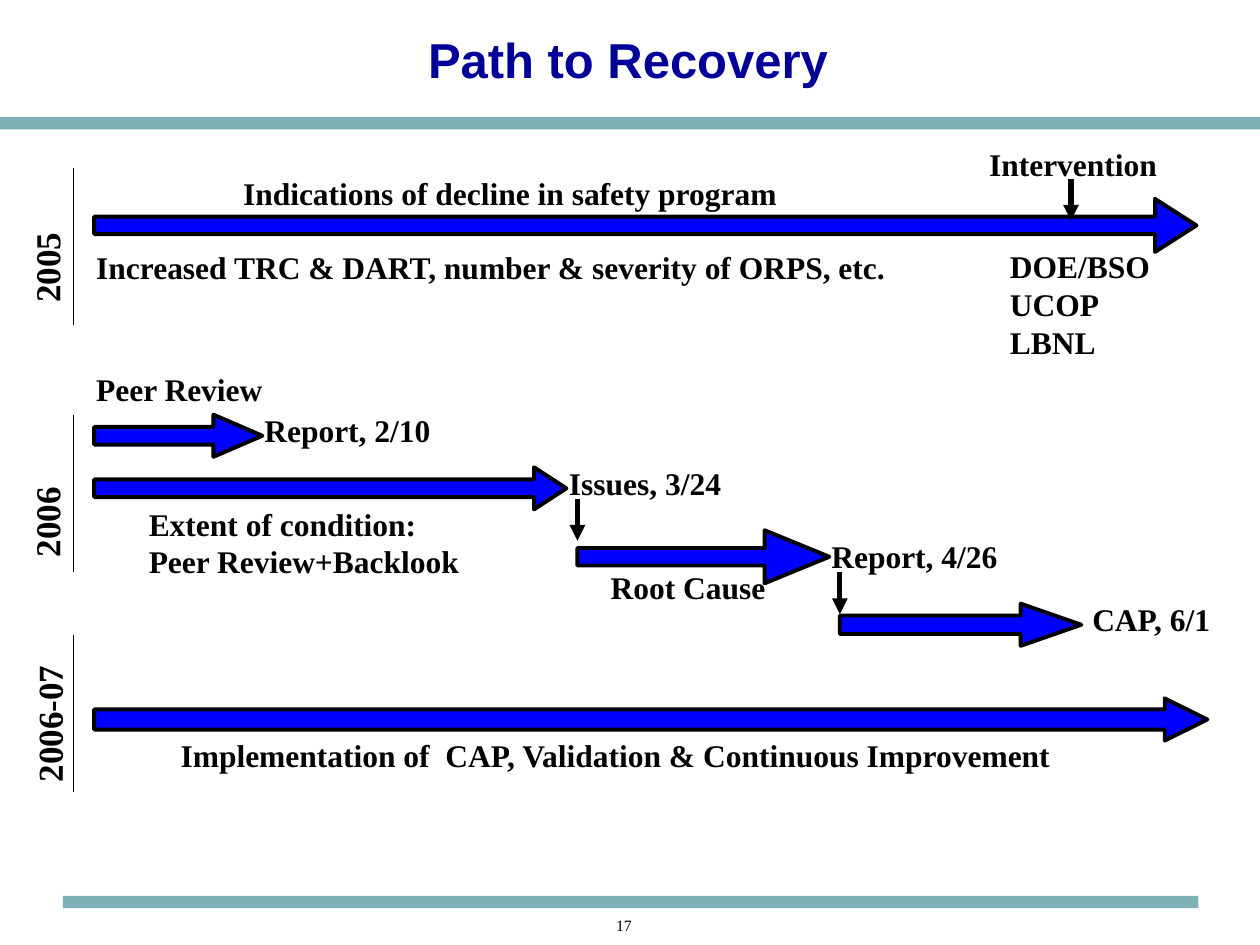
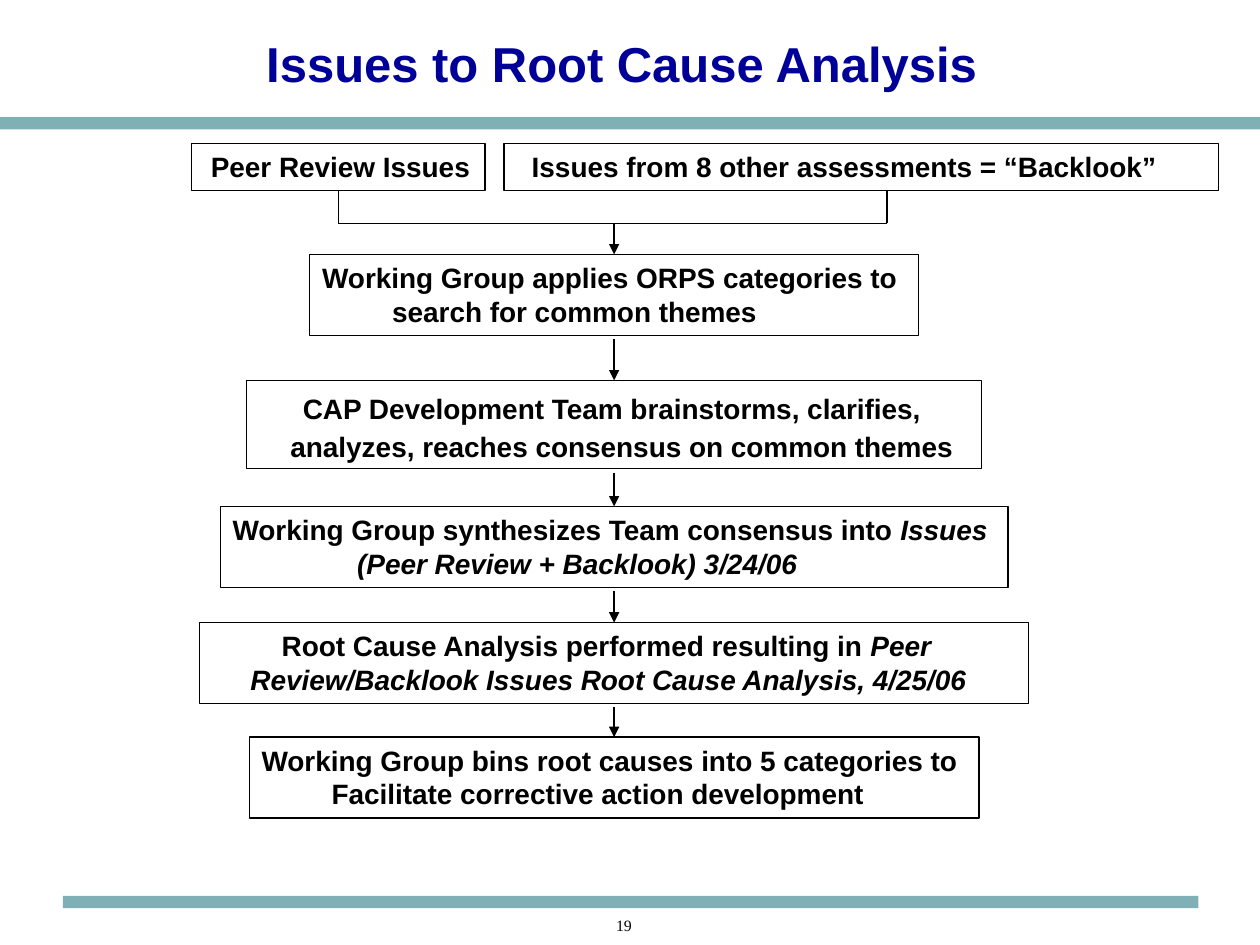
from lxml import etree
from pptx import Presentation
from pptx.dml.color import RGBColor
from pptx.enum.shapes import MSO_CONNECTOR, MSO_SHAPE
from pptx.enum.text import MSO_ANCHOR, PP_ALIGN
from pptx.oxml.ns import qn
from pptx.util import Cm, Pt

STRAIGHT = MSO_CONNECTOR.STRAIGHT
RECTANGLE, RIGHT_ARROW = MSO_SHAPE.RECTANGLE, MSO_SHAPE.RIGHT_ARROW
CENTER, LEFT = PP_ALIGN.CENTER, PP_ALIGN.LEFT
MIDDLE = MSO_ANCHOR.MIDDLE
TOP_SITE, BOTTOM_SITE = 0, 2

COLORS = {"band": "7FB0B5", "title": "000099", "arrow": "0000FF", "ink": "000000"}
SANS, SERIF = "Arial", "Times New Roman"

# All lengths are in centimetres.
BANDS = [(0, 2.36, 25.4, 0.25), (1.27, 18.06, 22.89, 0.25)]
NUMBER_AREA, NUMBER_INDENT = (9.31, 18.34, 5.93, 0.51), 0.61

# Timeline: year, centre x, bottom, length of the label, top of its rule
YEARS = [
    ("2005", 0.94, 6.35, 5.13, 3.38),
    ("2006", 0.94, 11.48, 3.5, 8.36),
    ("2006-07", 0.99, 16.02, 3.86, 12.8),
]
YEAR_HEIGHT, RULE_X, RULE_LENGTH = 1.11, 1.48, 3.17

# left, top, width, height, shaft and head proportions
PERIODS = [
    (1.9, 4.01, 22.22, 1.07, 0.33, 0.78),
    (1.9, 8.36, 3.39, 0.85, 0.42, 1.16),
    (1.9, 9.42, 9.52, 0.85, 0.42, 0.77),
    (11.64, 10.69, 5.08, 1.07, 0.33, 1.22),
    (16.93, 12.17, 4.87, 0.85, 0.44, 1.44),
    (1.9, 14.08, 22.44, 0.85, 0.48, 1.01),
]

# left, top, width, lines
LABELS = [
    (4.65, 3.39, 12.5, ["Indications of decline in safety program"]),
    (1.69, 4.87, 19.89, ["Increased TRC & DART, number & severity of ORPS, etc."]),
    (19.69, 2.8, 4.02, ["Intervention"]),
    (20.11, 4.86, 3.39, ["DOE/BSO", "UCOP", "LBNL"]),
    (1.69, 7.34, 4.23, ["Peer Review"]),
    (5.08, 8.17, 4.02, ["Report, 2/10"]),
    (11.22, 9.22, 3.6, ["Issues, 3/24"]),
    (2.75, 10.05, 12.7, ["Extent of condition:", "Peer Review+Backlook"]),
    (12.06, 11.33, 3.81, ["Root Cause"]),
    (16.51, 10.7, 4.02, ["Report, 4/26"]),
    (21.77, 11.98, 3.23, ["CAP, 6/1"]),
    (3.39, 14.71, 18.84, ["Implementation of  CAP, Validation & Continuous Improvement"]),
]
LABEL_PADDING, LABEL_LINE = 0.25, 0.76

DROPS = [(21.59, 3.6), (11.64, 10.05), (16.93, 11.53)]
DROP_LENGTH = 0.85

# Flow chart: lines are (indent, upright text, italic text)
SOURCES = [
    (3.86, 5.92, (0.14, "Peer Review Issues", "")),
    (10.16, 14.4, (0.31, "Issues from 8 other assessments = “Backlook”", "")),
]
SOURCE_TOP, SOURCE_HEIGHT = 2.9, 0.94
BUS_Y, BACKLOOK_X = 4.5, 17.88

# top, width, height, line spacing in points, lines
STEPS = [
    (5.13, 12.27, 1.63, None, [
        (0, "Working Group applies ORPS categories to", ""),
        (1.41, "search for common themes", "")]),
    (7.67, 14.81, 1.78, 21.7, [
        (0.88, "CAP Development Team brainstorms, clarifies,", ""),
        (0.63, "analyzes, reaches consensus on common themes", "")]),
    (10.21, 15.88, 1.63, None, [
        (0, "Working Group synthesizes Team consensus into ", "Issues"),
        (2.51, "", "(Peer Review + Backlook) 3/24/06")]),
    (12.55, 16.72, 1.63, None, [
        (1.41, "Root Cause Analysis performed resulting in ", "Peer"),
        (0.78, "", "Review/Backlook Issues Root Cause Analysis, 4/25/06")]),
    (14.86, 14.71, 1.63, None, [
        (0, "Working Group bins root causes into 5 categories to", ""),
        (1.41, "Facilitate corrective action development", "")]),
]
FLOW_X, FLOW_GAP = 12.38, 0.08


def rgb(name):
    return RGBColor.from_string(COLORS[name])


def style_font(font, family, size, color="ink", bold=True):
    font.name, font.size, font.bold = family, Pt(size), bold
    font.color.rgb = rgb(color)


def set_indent(paragraph, indent):
    paragraph._p.get_or_add_pPr().set("marL", str(Cm(indent)))


def add_text(page, area, lines, family, size, color="ink", bold=True, align=LEFT):
    box = page.shapes.add_textbox(*map(Cm, area))
    frame = box.text_frame
    frame.word_wrap = True
    frame.text = "\n".join(lines)
    for paragraph in frame.paragraphs:
        paragraph.alignment = align
        for span in paragraph.runs:
            style_font(span.font, family, size, color, bold)
    return box


def add_block(page, kind, area, fill=None, line_width=None):
    block = page.shapes.add_shape(kind, *map(Cm, area))
    block.shadow.inherit = False
    if fill:
        block.fill.solid()
        block.fill.fore_color.rgb = rgb(fill)
    else:
        block.fill.background()
    if line_width:
        block.line.color.rgb = rgb("ink")
        block.line.width = Pt(line_width)
    else:
        block.line.fill.background()
    return block


def add_line(page, start, end, width, arrow=False):
    line = page.shapes.add_connector(STRAIGHT, *map(Cm, (*start, *end)))
    line.line.color.rgb = rgb("ink")
    line.line.width = Pt(width)
    properties = line._element.spPr
    if arrow:
        etree.SubElement(properties.find(qn("a:ln")), qn("a:tailEnd"), type="triangle")
    etree.SubElement(properties, qn("a:effectLst"))
    return line


def add_flow_box(page, area, lines, spacing=None):
    box = add_block(page, RECTANGLE, area, line_width=0.75)
    frame = box.text_frame
    frame.word_wrap = True
    frame.vertical_anchor = MSO_ANCHOR.TOP
    for index, (indent, upright, italic) in enumerate(lines):
        paragraph = frame.add_paragraph() if index else frame.paragraphs[0]
        paragraph.alignment = LEFT
        set_indent(paragraph, indent)
        if spacing:
            paragraph.line_spacing = Pt(spacing)
        for text, slanted in ((upright, False), (italic, True)):
            if text:
                span = paragraph.add_run()
                span.text = text
                style_font(span.font, SANS, 16)
                span.font.italic = slanted
    return box


def add_page(deck, title, title_area, number):
    """Add a slide with the shared bands, title and slide number."""
    page = deck.slides.add_slide(deck.slide_layouts[6])
    for area in BANDS:
        add_block(page, RECTANGLE, area, "band")
    heading = add_text(page, title_area, [title], SANS, 28, "title", align=CENTER)
    heading.text_frame.vertical_anchor = MIDDLE
    footer = add_text(page, NUMBER_AREA, [number], SERIF, 9, bold=False, align=CENTER)
    set_indent(footer.text_frame.paragraphs[0], NUMBER_INDENT)
    return page


def build_timeline(deck):
    page = add_page(deck, "Path to Recovery", (1.27, 0.05, 22.78, 2.29), "17")
    for year, center, bottom, length, rule_top in YEARS:
        area = (center - length / 2, bottom - length / 2 - YEAR_HEIGHT / 2, length, YEAR_HEIGHT)
        add_text(page, area, [year], SERIF, 20).rotation = 270
        add_line(page, (RULE_X, rule_top), (RULE_X, rule_top + RULE_LENGTH), 1)
    for *area, shaft, head in PERIODS:
        period = add_block(page, RIGHT_ARROW, area, "arrow", 2.25)
        period.adjustments[0], period.adjustments[1] = shaft, head
    for left, top, width, lines in LABELS:
        height = LABEL_PADDING + LABEL_LINE * len(lines)
        add_text(page, (left, top, width, height), lines, SERIF, 18)
    for x, top in DROPS:
        add_line(page, (x, top), (x, top + DROP_LENGTH), 3, arrow=True)


def build_flow_chart(deck):
    page = add_page(deck, "Issues to Root Cause Analysis", (1.14, 0.13, 22.78, 2.29), "19")
    peer_review, _ = [
        add_flow_box(page, (left, SOURCE_TOP, width, SOURCE_HEIGHT), [line])
        for left, width, line in SOURCES
    ]
    source_bottom = SOURCE_TOP + SOURCE_HEIGHT
    peer_x = SOURCES[0][0] + SOURCES[0][1] / 2
    peer_line = add_line(page, (peer_x, source_bottom), (peer_x, BUS_Y), 0.75)
    peer_line.begin_connect(peer_review, BOTTOM_SITE)
    add_line(page, (BACKLOOK_X, source_bottom), (BACKLOOK_X, BUS_Y), 0.75)
    add_line(page, (peer_x, BUS_Y), (BACKLOOK_X, BUS_Y), 0.75)

    arrow_start = BUS_Y
    for top, width, height, spacing, lines in STEPS:
        box = add_flow_box(page, (FLOW_X - width / 2, top, width, height), lines, spacing)
        arrow = add_line(page, (FLOW_X, arrow_start), (FLOW_X, top), 0.75, arrow=True)
        arrow.end_connect(box, TOP_SITE)
        arrow_start = top + height + FLOW_GAP


def main():
    deck = Presentation()
    deck.slide_width, deck.slide_height = Cm(25.4), Cm(19.05)
    build_timeline(deck)
    build_flow_chart(deck)
    deck.save("out.pptx")


if __name__ == "__main__":
    main()
